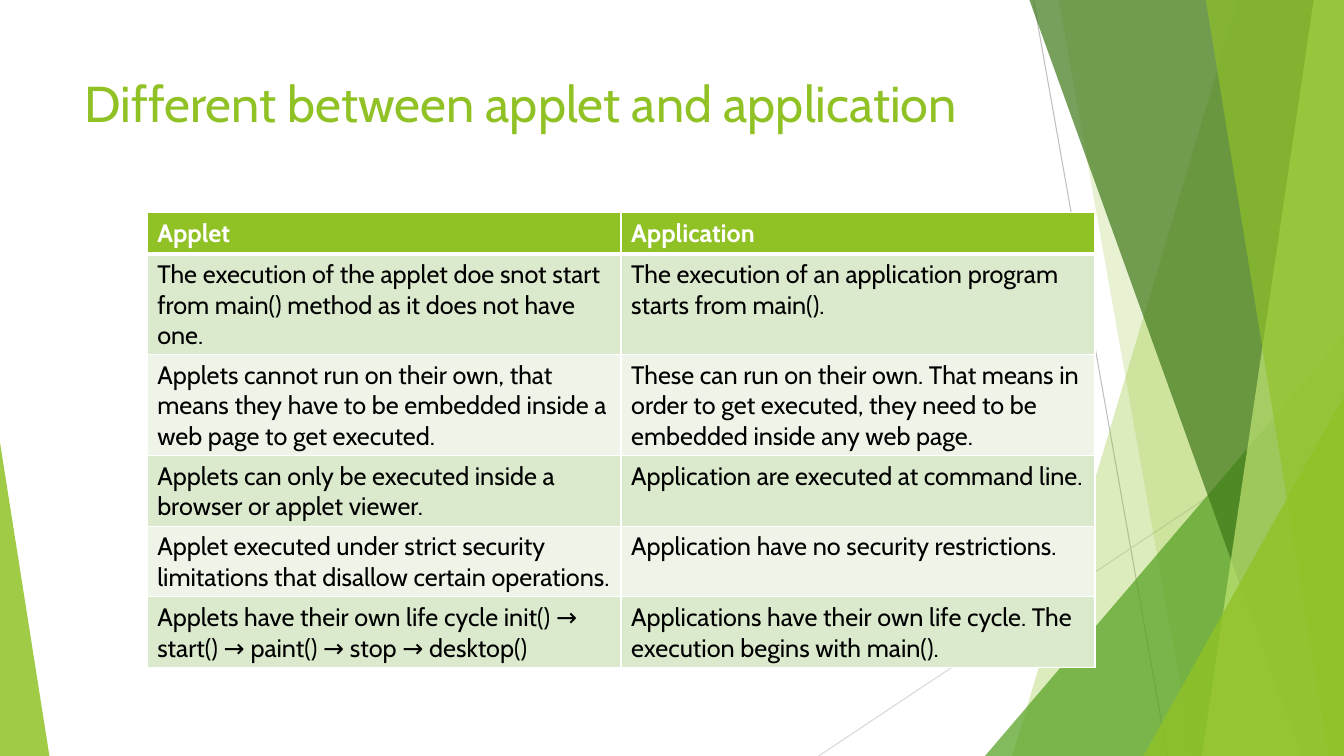
from lxml import etree
from pptx import Presentation
from pptx.dml.color import RGBColor
from pptx.enum.shapes import MSO_CONNECTOR, MSO_SHAPE
from pptx.enum.text import MSO_ANCHOR
from pptx.oxml.ns import qn
from pptx.util import Inches, Pt

STRAIGHT = MSO_CONNECTOR.STRAIGHT
TRIANGLE = MSO_SHAPE.ISOSCELES_TRIANGLE
TOP = MSO_ANCHOR.TOP

WIDTH, HEIGHT = 13.33, 7.5
FONT = "Cabin"
GREEN, LEAF, FOREST, LIME = "90C226", "54A021", "3F7819", "C0E474"
WHITE, BLACK = "FFFFFF", "000000"
BANDS = ("DBE9CD", "EEF4E8")
TABLE_ROWS = [
    ("Applet", "Application"),
    ("The execution of the applet doe snot start from main() method as it does not have one.",
     "The execution of an application program starts from main()."),
    ("Applets cannot run on their own, that means they have to be embedded inside a web page "
     "to get executed.",
     "These can run on their own. That means in order to get executed, they need to be "
     "embedded inside any web page."),
    ("Applets can only be executed inside a browser or applet viewer.",
     "Application are executed at command line."),
    ("Applet executed under strict security limitations that disallow certain operations.",
     "Application have no security restrictions."),
    ("Applets have their own life cycle init() → start() → paint() → stop → desktop()",
     "Applications have their own life cycle. The execution begins with main()."),
]


def color(value):
    return RGBColor.from_string(value)


def write(frame, text, size=18, ink=BLACK, bold=False):
    """Put one formatted run into the frame's first paragraph."""
    frame.word_wrap = True
    span = frame.paragraphs[0].add_run()
    span.text = text
    span.font.name = FONT
    span.font.size = Pt(size)
    span.font.bold = bold
    span.font.color.rgb = color(ink)


def paint(shape, fill, opacity):
    """Fill a shape without outline or shadow; opacity is in percent."""
    shape.shadow.inherit = False
    shape.line.fill.background()
    shape.fill.solid()
    shape.fill.fore_color.rgb = color(fill)
    tint = shape.fill._xPr.find(qn("a:solidFill"))[0]
    etree.SubElement(tint, qn("a:alpha")).set("val", str(opacity * 1000))


def add_ray(page, start, end, ink):
    ray = page.shapes.add_connector(STRAIGHT, *map(Inches, start + end))
    ray.line.color.rgb = color(ink)
    ray.line.width = Pt(0.75)
    etree.SubElement(ray._element.spPr, qn("a:effectLst"))


def add_shard(page, top_x, bottom_x, fill, opacity):
    """Add a full-height band from a slanted left side to the page's right edge."""
    builder = page.shapes.build_freeform(Inches(top_x), 0, scale=1.0)
    corners = [(WIDTH, 0), (WIDTH, HEIGHT), (bottom_x, HEIGHT)]
    builder.add_line_segments([(Inches(x), Inches(y)) for x, y in corners], close=True)
    paint(builder.convert_to_shape(), fill, opacity)


def add_corner(page, left, top, width, apex, fill, opacity):
    """Add a right triangle standing on the page's bottom edge."""
    corner = page.shapes.add_shape(
        TRIANGLE, *map(Inches, (left, top, width, HEIGHT - top)))
    corner.adjustments[0] = apex
    paint(corner, fill, opacity)


def add_backdrop(page):
    add_ray(page, (10.25, 0), (11.58, HEIGHT), "BFBFBF")
    add_ray(page, (WIDTH, 4.03), (8.12, HEIGHT), "D9D9D9")
    add_shard(page, 12.28, 10.04, GREEN, 30)
    add_shard(page, 10.5, 11.83, GREEN, 20)
    add_corner(page, 9.77, 3.33, WIDTH - 9.77, 1, LEAF, 72)
    add_shard(page, 10.21, 12.91, FOREST, 70)
    add_shard(page, 13.03, 11.92, LIME, 70)
    add_shard(page, 11.96, 13.18, GREEN, 65)
    add_corner(page, 11.34, 3.93, WIDTH - 11.34, 1, GREEN, 80)
    add_corner(page, 0, 4.39, 0.49, 0, GREEN, 85)


def add_title(page, box, text):
    frame = page.shapes.add_textbox(*map(Inches, box)).text_frame
    frame.vertical_anchor = TOP
    write(frame, text, size=36, ink=GREEN)


def add_borders(cell, top, bottom):
    """Draw white cell borders; top and bottom widths are in points."""
    properties = cell._tc.get_or_add_tcPr()
    for side, points in (("L", 1), ("R", 1), ("T", top), ("B", bottom)):
        line = etree.SubElement(properties, qn("a:ln" + side), w=str(Pt(points)))
        fill = etree.SubElement(line, qn("a:solidFill"))
        etree.SubElement(fill, qn("a:srgbClr"), val=WHITE)


def add_comparison(page, box, rows):
    """Add a two-column table with a green header and banded rows."""
    table = page.shapes.add_table(len(rows), len(rows[0]), *map(Inches, box)).table
    for row, texts in enumerate(rows):
        header = row == 0
        for column, text in enumerate(texts):
            cell = table.cell(row, column)
            write(cell.text_frame, text, ink=WHITE if header else BLACK, bold=header)
            add_borders(cell, top=3 if row == 1 else 1, bottom=3 if header else 1)
            cell.fill.solid()
            cell.fill.fore_color.rgb = color(GREEN if header else BANDS[(row - 1) % 2])


def main():
    deck = Presentation()
    deck.slide_width, deck.slide_height = Inches(WIDTH), Inches(HEIGHT)
    page = deck.slides.add_slide(deck.slide_layouts[6])
    add_backdrop(page)
    add_title(page, (0.74, 0.67, 9.4, 1.44), "Different between applet and application")
    add_comparison(page, (1.46, 2.11, 9.4, 0.41 * len(TABLE_ROWS)), TABLE_ROWS)
    deck.save("out.pptx")


if __name__ == "__main__":
    main()
